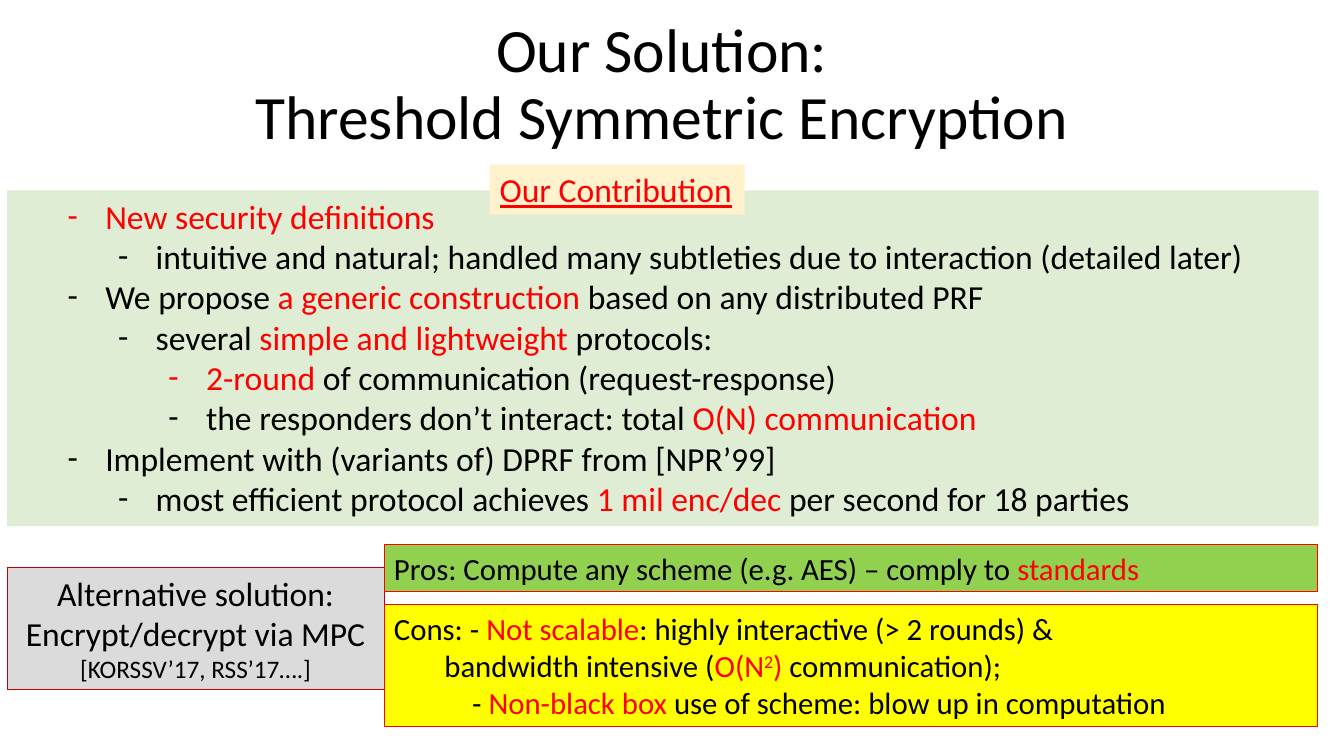
"""Build the slide on threshold symmetric encryption."""
from dataclasses import dataclass

from lxml.etree import SubElement
from pptx import Presentation
from pptx.dml.color import RGBColor
from pptx.enum.shapes import MSO_SHAPE as Preset
from pptx.enum.text import MSO_ANCHOR as Anchor, MSO_AUTO_SIZE as AutoSize, PP_ALIGN as Align
from pptx.oxml.ns import qn
from pptx.util import Cm, Pt

FONT = "Calibri"
BLACK, RED = "000000", "FF0000"
BULLET_GAP = 0.95
LEVEL_STEP = 1.27


@dataclass
class Span:
    text: str
    color: str = BLACK
    size: float | None = None
    underline: bool = False
    superscript: bool = False


@dataclass
class Line:
    spans: list[Span]
    level: int = 0
    margin: float = 0
    bullet: bool = False
    align: Align = Align.LEFT


@dataclass
class Box:
    place: tuple[float, float, float, float]
    fill: str
    size: float
    lines: list[Line]
    border: str | None = None
    wrap: bool = True


def red(text: str) -> Span:
    """Return a highlighted span."""
    return Span(text, RED)


def item(level: int, *spans: Span) -> Line:
    """Return a dashed list line at the given level."""
    return Line(list(spans), level, level * LEVEL_STEP + BULLET_GAP, True)


CONTRIBUTIONS = [
    item(1, red("New security definitions")),
    item(2, Span("intuitive and natural; handled many subtleties due to interaction (detailed later)")),
    item(1, Span("We propose "), red("a generic construction "), Span("based on any distributed PRF")),
    item(2, Span("several "), red("simple and lightweight "), Span("protocols:")),
    item(3, red("2-round"), Span(" of communication (request-response)")),
    item(3, Span("the responders don’t interact: total "), red("O(N) communication")),
    item(1, Span("Implement with (variants of) DPRF from [NPR’99]")),
    item(2, Span("most efficient protocol achieves "), red("1 mil enc/dec"),
         Span(" per second for 18 parties")),
]
CONTRIBUTION_PANEL = Box((0.18, 4.8, 33.05, 8.46), "C5E0B4", 24, CONTRIBUTIONS)

BOXES = [
    Box((12.34, 4.14, 6.43, 1.27), "FFF2CC", 24,
        [Line([Span("Our Contribution", RED, underline=True)])], wrap=False),
    Box((0.18, 14.3, 9.5, 3.07), "DBDBDB", 24,
        [Line([Span("Alternative solution: Encrypt/decrypt via MPC "),
               Span("[KORSSV’17, RSS’17….]", size=18)], align=Align.CENTER)], "C00000"),
    Box((9.68, 13.72, 23.52, 1.19), "92D050", 22,
        [Line([Span("Pros: Compute any scheme (e.g. AES) – comply to "), red("standards")])], RED),
    Box((9.68, 15.24, 23.52, 3.07), "FFFF00", 22,
        [Line([Span("Cons: - "), red("Not scalable"), Span(": highly interactive (> 2 rounds) &")]),
         Line([Span("bandwidth intensive ("), red("O(N"), Span("2", RED, superscript=True),
               red(") "), Span("communication);")], 1, LEVEL_STEP),
         Line([Span("- "), red("Non-black box "),
               Span("use of scheme: blow up in computation")], 1, 1.97)], RED),
]


def rgb(color: str) -> RGBColor:
    """Turn a hex string into a colour."""
    return RGBColor.from_string(color)


def move(shape, place: tuple[float, float, float, float]) -> None:
    """Set position and size in centimetres."""
    shape.left, shape.top, shape.width, shape.height = (Cm(value) for value in place)


def write_line(paragraph, line: Line, size: float) -> None:
    """Fill a paragraph with formatted spans."""
    paragraph.level = line.level
    paragraph.alignment = line.align
    paragraph.line_spacing = 1.0
    paragraph.space_before = paragraph.space_after = Pt(0)
    properties = paragraph._p.get_or_add_pPr()
    properties.set("marL", str(Cm(line.margin)))
    properties.set("indent", str(-Cm(BULLET_GAP) if line.bullet else 0))
    if line.bullet:
        SubElement(properties, qn("a:buFont")).set("typeface", FONT)
        SubElement(properties, qn("a:buChar")).set("char", "-")
    for span in line.spans:
        run = paragraph.add_run()
        run.text = span.text
        run.font.name = FONT
        run.font.size = Pt(span.size or size)
        run.font.color.rgb = rgb(span.color)
        if span.underline:
            run.font.underline = True
        if span.superscript:
            run.font._element.set("baseline", "30000")


def style_box(shape, box: Box) -> None:
    """Apply place, fill, border and text to a shape."""
    move(shape, box.place)
    shape.fill.solid()
    shape.fill.fore_color.rgb = rgb(box.fill)
    if box.border:
        shape.line.color.rgb = rgb(box.border)
        shape.line.width = Pt(0.75)
    else:
        shape.line.fill.background()
    frame = shape.text_frame
    frame.auto_size = AutoSize.NONE
    frame.word_wrap = box.wrap
    frame.vertical_anchor = Anchor.TOP
    for index, line in enumerate(box.lines):
        paragraph = frame.add_paragraph() if index else frame.paragraphs[0]
        write_line(paragraph, line, box.size)


def write_title(title) -> None:
    """Write the two-line slide title."""
    move(title, (2.08, 0.33, 29.21, 3.68))
    frame = title.text_frame
    frame.text = "Our Solution:\vThreshold Symmetric Encryption"
    frame.auto_size = AutoSize.NONE
    frame.vertical_anchor = Anchor.MIDDLE
    paragraph = frame.paragraphs[0]
    paragraph.alignment = Align.CENTER
    paragraph.line_spacing = 0.9
    for run in paragraph.runs:
        run.font.name = FONT
        run.font.size = Pt(44)
        run.font.color.rgb = rgb(BLACK)


def main() -> None:
    """Create and save the presentation."""
    presentation = Presentation()
    presentation.slide_width, presentation.slide_height = Cm(33.87), Cm(19.05)
    slide = presentation.slides.add_slide(presentation.slide_layouts[1])
    write_title(slide.shapes.title)
    panel = slide.placeholders[1]
    style_box(panel, CONTRIBUTION_PANEL)
    panel_color = panel._element.spPr.find(qn("a:solidFill")).find(qn("a:srgbClr"))
    SubElement(panel_color, qn("a:alpha")).set("val", "56000")
    for box in BOXES:
        place = [Cm(value) for value in box.place]
        shape = slide.shapes.add_shape(Preset.RECTANGLE, *place)
        shape.shadow.inherit = False
        style_box(shape, box)
    presentation.save("out.pptx")


if __name__ == "__main__":
    main()
